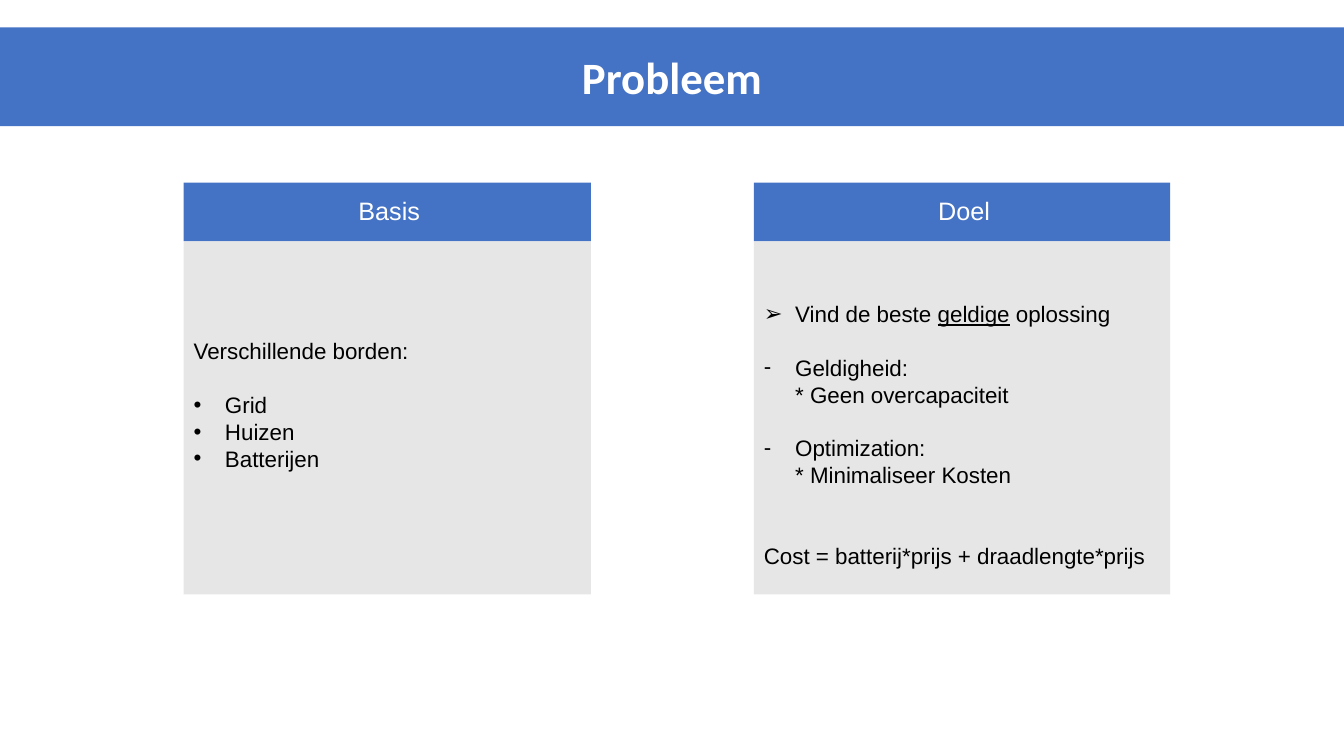
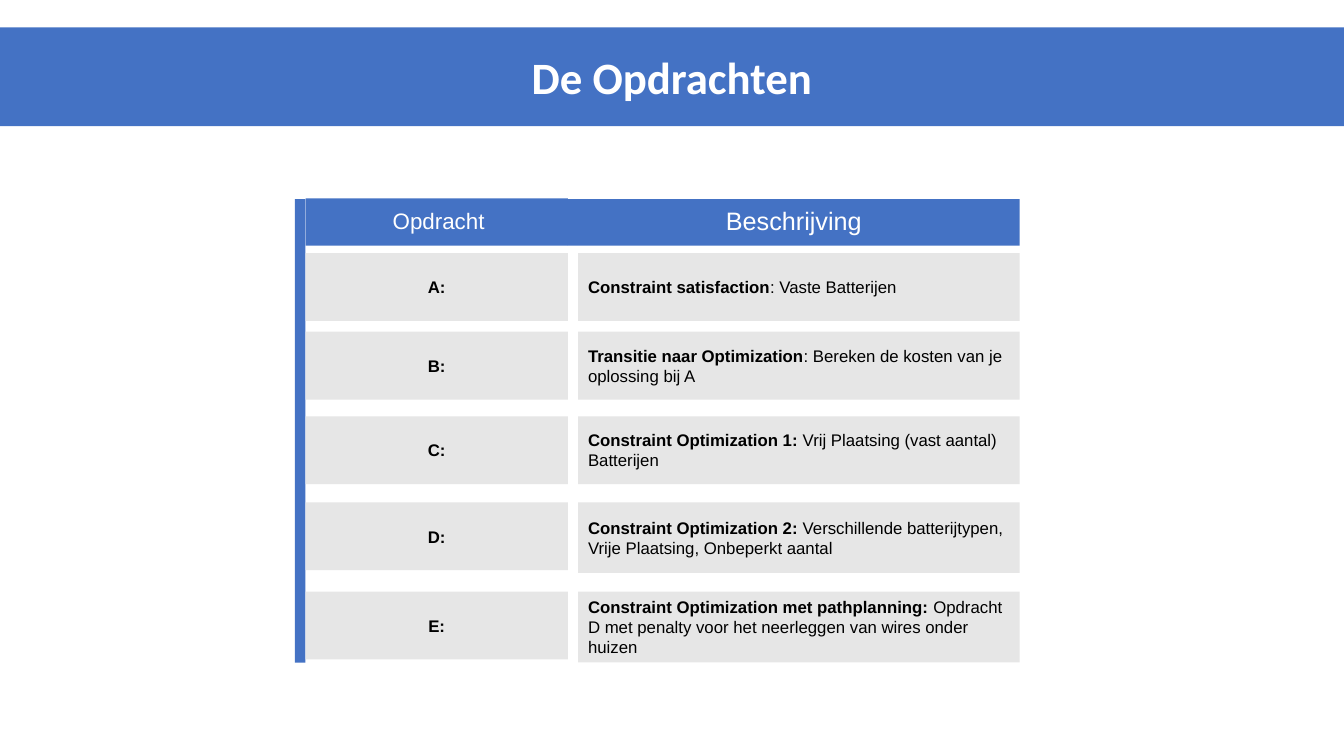
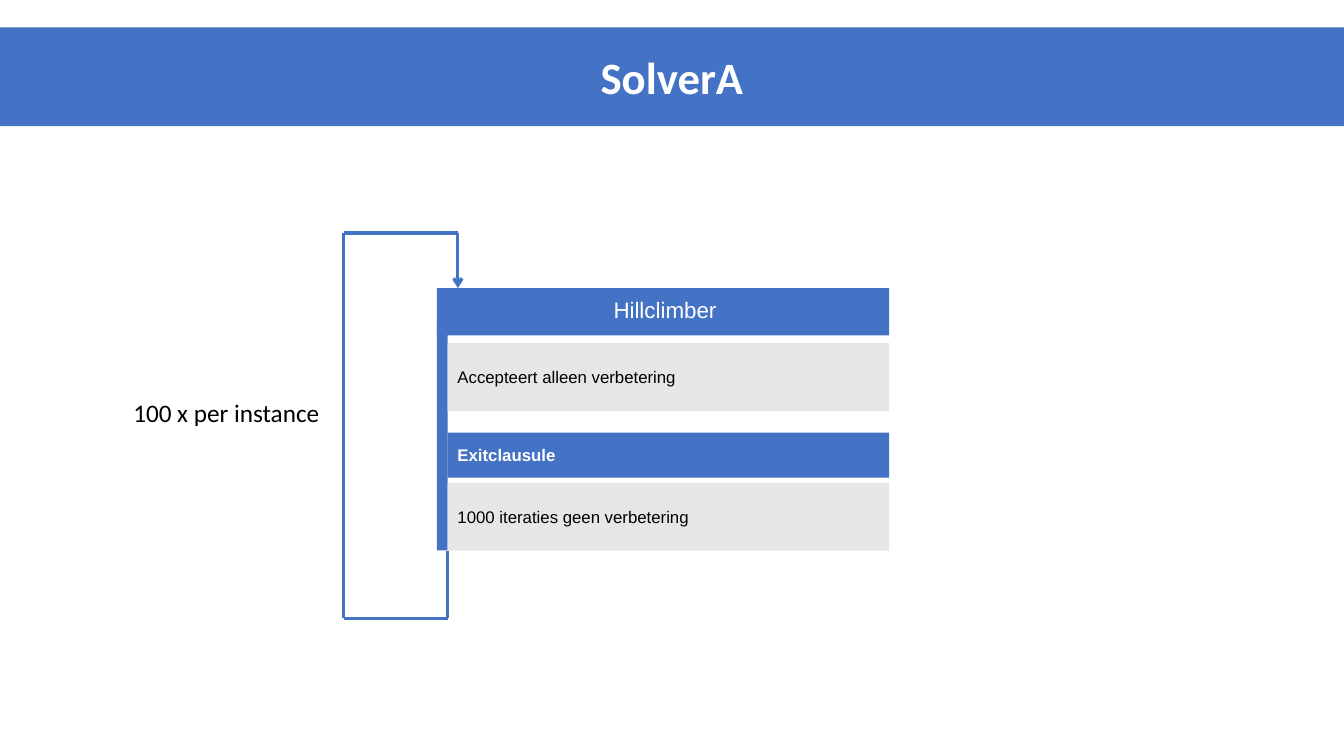
import itertools

import pptx
import pptx.dml.color
import pptx.enum.shapes
import pptx.enum.text
import pptx.oxml.ns
import pptx.util
from lxml import etree

Cm, Pt = pptx.util.Cm, pptx.util.Pt
ALIGN = pptx.enum.text.PP_ALIGN
ANCHOR = pptx.enum.text.MSO_ANCHOR

BLUE, GREY, WHITE, BLACK = "4472C4", "E6E6E6", "FFFFFF", "000000"
SLIDE_WIDTH, SLIDE_HEIGHT = 33.87, 19.05
LINE_FACTOR = 1.2
LIST_SIZE, CELL_SIZE = 16, 12
HEADER_MARGINS = (1.14, 0.05, 1.04, 0.05)
TEXT_MARGINS = (0.25, 0.13, 0.25, 0.13)


def color(value):
    return pptx.dml.color.RGBColor.from_string(value)


def add_xml(parent, tag, **attributes):
    return etree.SubElement(parent, pptx.oxml.ns.qn(tag), attributes)


def add_span(para, text, size, ink=BLACK, bold=False, underline=False, font="Arial"):
    span = para.add_run()
    span.text = text
    span.font.name, span.font.size = font, Pt(size)
    span.font.color.rgb = color(ink)
    span.font.bold, span.font.underline = bold, underline


def place(shape, left, top, width, height):
    shape.left, shape.top = Cm(left), Cm(top)
    shape.width, shape.height = Cm(width), Cm(height)


def format_frame(shape, fill, margins=TEXT_MARGINS, anchor=ANCHOR.MIDDLE):
    """Fill a shape and prepare its text frame."""
    shape.fill.solid()
    shape.fill.fore_color.rgb = color(fill)
    frame = shape.text_frame
    frame.word_wrap = True
    frame.auto_size = pptx.enum.text.MSO_AUTO_SIZE.NONE
    frame.vertical_anchor = anchor
    frame.margin_left, frame.margin_top, frame.margin_right, frame.margin_bottom = map(Cm, margins)
    return frame


def add_block(page, area, fill, margins=TEXT_MARGINS):
    """Add a plain rectangle and return its first paragraph."""
    box = page.shapes.add_shape(pptx.enum.shapes.MSO_SHAPE.RECTANGLE, *map(Cm, area))
    box.shadow.inherit = False
    box.line.fill.background()
    return format_frame(box, fill, margins).paragraphs[0]


def add_header(page, area, text, size, margins=HEADER_MARGINS):
    para = add_block(page, area, BLUE, margins)
    para.alignment = ALIGN.CENTER
    para.line_spacing = 0.9
    add_span(para, text, size, WHITE)


def add_cell(page, area, spans, fill=GREY, ink=BLACK, align=ALIGN.LEFT):
    """Add a block whose spans are (text, bold) pairs."""
    para = add_block(page, area, fill)
    para.alignment = align
    para.line_spacing = Pt(CELL_SIZE * LINE_FACTOR)
    for text, bold in spans:
        add_span(para, text, CELL_SIZE, ink, bold)


def add_page(deck, layout, title):
    page = deck.slides.add_slide(deck.slide_layouts.get_by_name(layout))
    band = page.shapes.title
    place(band, 0, 0.69, SLIDE_WIDTH, 2.49)
    para = format_frame(band, BLUE).paragraphs[0]
    para.alignment = ALIGN.CENTER
    add_span(para, title, 32, WHITE, bold=True, font="Calibri")
    return page


def fill_list(frame, items):
    """Items are (bullet, blank lines before, lines); a line is a list of (text, underline)."""
    pitch = LIST_SIZE * LINE_FACTOR
    for index, (bullet, gap, lines) in enumerate(items):
        para = frame.add_paragraph() if index else frame.paragraphs[0]
        para.alignment = ALIGN.LEFT
        para.line_spacing = Pt(pitch)
        para.space_before, para.space_after = Pt(gap * pitch), Pt(0)
        properties = para._p.get_or_add_pPr()
        indent = Cm(0.79) if bullet else 0
        properties.set("marL", str(indent))
        properties.set("indent", str(-indent))
        if bullet:
            add_xml(properties, "a:buFont", typeface="Arial")
            add_xml(properties, "a:buChar", char=bullet)
        else:
            add_xml(properties, "a:buNone")
        for number, line in enumerate(lines):
            if number:
                para.add_line_break()
            for text, underline in line:
                add_span(para, text, LIST_SIZE, underline=underline)


def add_panel(page, body, area, heading, items, margins, anchor):
    """Put a heading on top of the area and the list below it."""
    left, top, width, height = area
    header_height = 1.48
    place(body, left, top + header_height, width, height - header_height)
    fill_list(format_frame(body, GREY, margins, anchor), items)
    add_header(page, (left, top, width, header_height), heading, 18)


def build_problem(deck):
    page = add_page(deck, "Two Content", "Probleem")
    basis = [
        (None, 0, [[("Verschillende borden:", False)]]),
        ("•", 1, [[("Grid", False)]]),
        ("•", 0, [[("Huizen", False)]]),
        ("•", 0, [[("Batterijen", False)]]),
    ]
    goal = [
        ("➢", 0, [[("Vind de beste ", False), ("geldige", True), (" oplossing", False)]]),
        ("-", 1, [[("Geldigheid:", False)], [("* Geen overcapaciteit", False)]]),
        ("-", 1, [[("Optimization:", False)], [("* Minimaliseer Kosten", False)]]),
        (None, 2, [[("Cost = batterij*prijs + draadlengte*prijs", False)]]),
    ]
    add_panel(page, page.placeholders[1], (4.63, 4.6, 10.26, 10.38), "Basis", basis,
              (0.25, 0.13, 0.25, 0.8), ANCHOR.MIDDLE)
    add_panel(page, page.placeholders[2], (19, 4.6, 10.49, 10.38), "Doel", goal,
              (0.25, 1.48, 0.25, 0.13), ANCHOR.TOP)


def add_assignments(page, left, top, rows):
    """Rows are (offset from top, description height, letter, bold text, plain text)."""
    bar_width, label_width, text_width, gap = 0.27, 6.61, 11.13, 0.26
    label_left = left + bar_width
    text_left = label_left + label_width + gap
    add_header(page, (label_left, top - 0.02, label_width, 1.19), "Opdracht", 16)
    add_header(page, (text_left - gap, top, text_width + gap, 1.17), "Beschrijving", 18, TEXT_MARGINS)
    add_block(page, (left, top, bar_width, 11.68), BLUE)
    for offset, height, letter, topic, detail in rows:
        add_cell(page, (label_left, top + offset, label_width, 1.71), [(letter, True)],
                 align=ALIGN.CENTER)
        add_cell(page, (text_left, top + offset, text_width, height),
                 [(topic, True), (detail, False)])


def build_assignments(deck):
    page = add_page(deck, "Title Only", "De Opdrachten")
    add_assignments(page, 7.43, 5.02, [
        (1.36, 1.71, "A:", "Constraint satisfaction", ": Vaste Batterijen"),
        (3.34, 1.71, "B:", "Transitie naar Optimization",
         ": Bereken de kosten van je oplossing bij A"),
        (5.47, 1.71, "C:", "Constraint Optimization 1:",
         " Vrij Plaatsing (vast aantal) Batterijen"),
        (7.64, 1.78, "D:", "Constraint Optimization 2: ",
         "Verschillende batterijtypen, Vrije Plaatsing, Onbeperkt aantal"),
        (9.89, 1.78, "E:", "Constraint Optimization met pathplanning: ",
         "Opdracht D met penalty voor het neerleggen van wires onder huizen"),
    ])


def add_solver(page, left, top):
    bar_width, width = 0.27, 11.4
    cell_left, cell_width = left + bar_width, width - bar_width
    add_header(page, (left, top, width, 1.19), "Hillclimber", 16)
    add_block(page, (left, top + 0.95, bar_width, 5.66), BLUE)
    add_cell(page, (cell_left, top + 1.38, cell_width, 1.72),
             [("Accepteert alleen verbetering", False)])
    add_cell(page, (cell_left, top + 3.64, cell_width, 1.14),
             [("Exitclausule", True)], BLUE, WHITE)
    add_cell(page, (cell_left, top + 4.9, cell_width, 1.72),
             [("1000 iteraties geen verbetering", False)])


def add_loop(page, points):
    """Join the points with straight lines; the last one ends in an arrowhead."""
    for start, end in itertools.pairwise(points):
        line = page.shapes.add_connector(pptx.enum.shapes.MSO_CONNECTOR.STRAIGHT,
                                         *map(Cm, start + end))
        line.line.color.rgb = color(BLUE)
        line.line.width = Pt(2.25)
        add_xml(line._element.spPr, "a:effectLst")
    add_xml(line.line._get_or_add_ln(), "a:tailEnd", type="arrow")


def build_solver(deck):
    page = add_page(deck, "Title Only", "SolverA")
    left, top = 11.01, 7.26
    add_solver(page, left, top)
    outer, start, end, high, low = left - 2.35, left + 0.27, left + 0.53, 5.87, 15.58
    add_loop(page, [(start, top + 6.62), (start, low), (outer, low),
                    (outer, high), (end, high), (end, top)])
    label = page.shapes.add_textbox(Cm(3.11), Cm(9.88), Cm(5.26), Cm(1.03))
    label.text_frame.word_wrap = False
    add_span(label.text_frame.paragraphs[0], "100 x per instance", 18, font="Calibri")


def main():
    deck = pptx.Presentation()
    deck.slide_width, deck.slide_height = Cm(SLIDE_WIDTH), Cm(SLIDE_HEIGHT)
    build_problem(deck)
    build_assignments(deck)
    build_solver(deck)
    deck.save("out.pptx")


if __name__ == "__main__":
    main()
